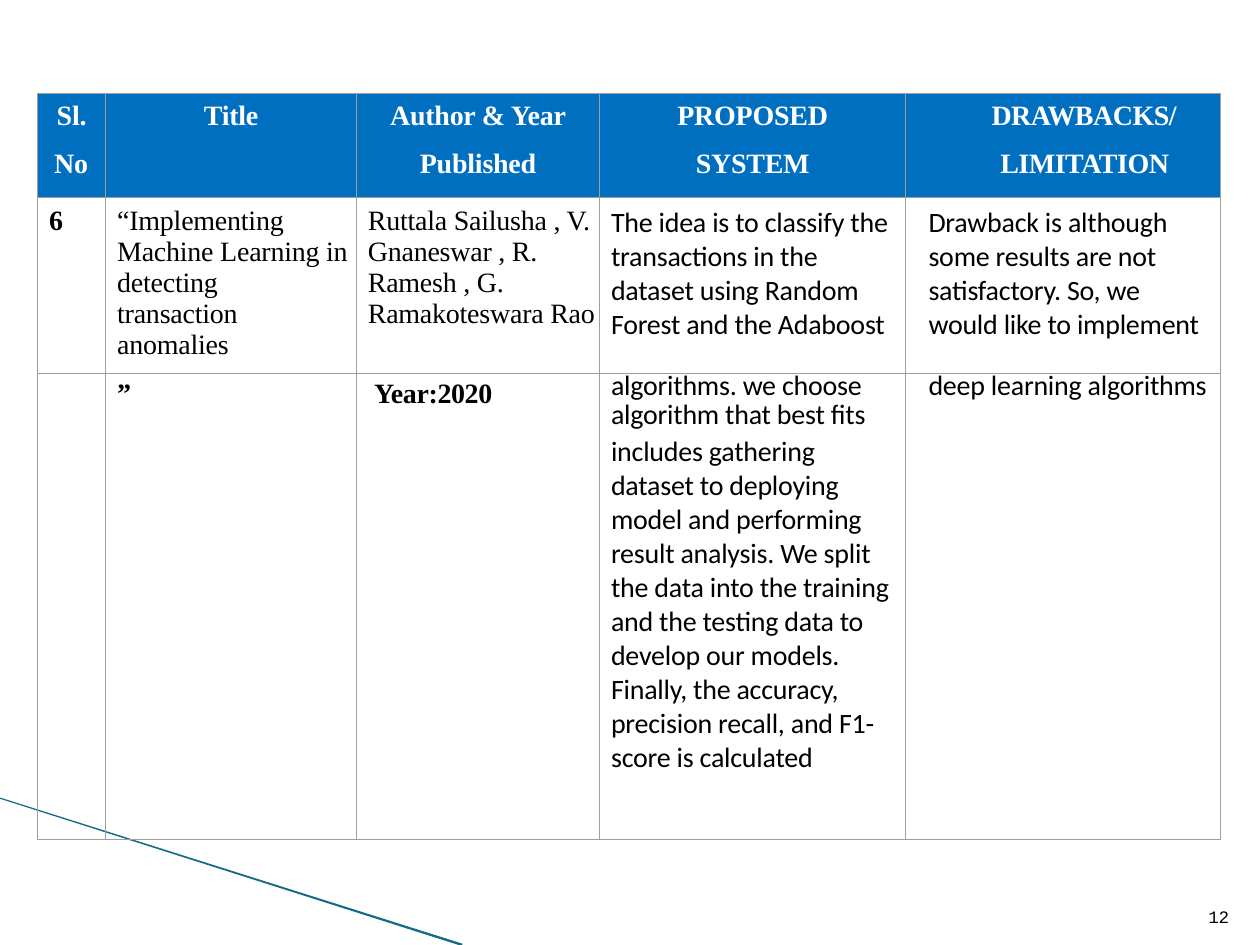
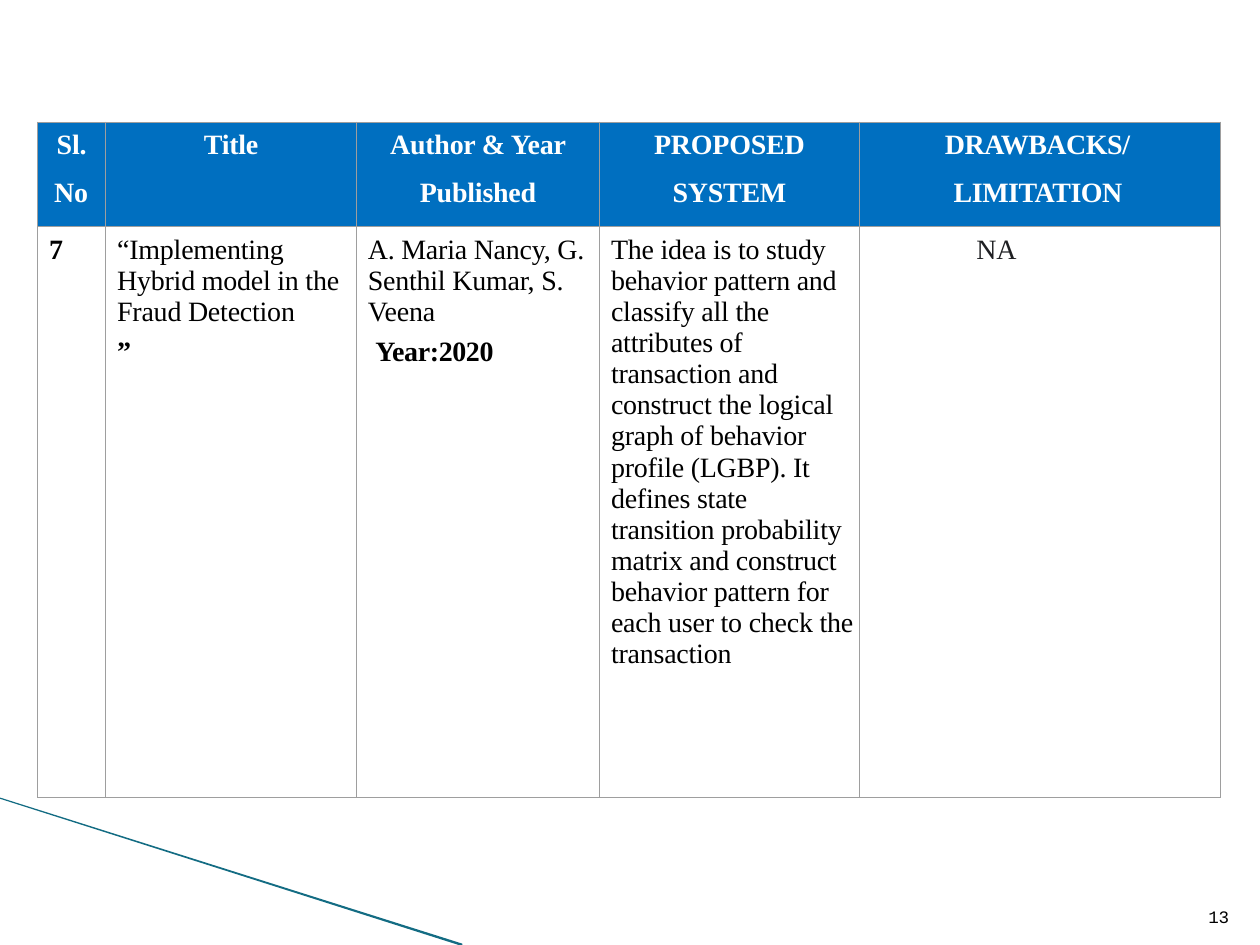
"""Build two literature survey slides, each holding one table."""
import dataclasses

import pptx
import pptx.dml.color
import pptx.enum.text
import pptx.oxml.ns
import pptx.util
from lxml import etree

Inches = pptx.util.Inches
Pt = pptx.util.Pt
CENTER = pptx.enum.text.PP_ALIGN.CENTER


@dataclasses.dataclass(frozen=True)
class Theme:
    header: str = "006FC0"
    rule: str = "9E9E9E"
    accent: str = "136C83"
    white: str = "FFFFFF"
    black: str = "000000"
    muted: str = "1F2023"
    serif: str = "Times New Roman"
    sans: str = "Calibri"
    mono: str = "Courier New"
    body_size: float = 16
    number_size: float = 10
    empty_size: float = 6
    rule_width: float = 0.75
    line_pitch: float = 16.8


THEME = Theme()


def color(value):
    return pptx.dml.color.RGBColor.from_string(value)


def write(frame, text, first=False, font=THEME.serif, size=THEME.body_size, ink=THEME.black,
          bold=False, spacing=-0.1, indent=0.0, align=None, before=0, pitch=None):
    para = frame.paragraphs[0] if first else frame.add_paragraph()
    para._p.get_or_add_pPr().set("marL", str(Inches(indent)))
    para.alignment = align
    if before:
        para.space_before = Pt(before)
    if pitch:
        para.line_spacing = Pt(pitch)
    for index, line in enumerate(text.split("\n")):
        if index:
            para.add_line_break()
        span = para.add_run()
        span.text = line
        span.font.name = font
        span.font.size = Pt(size)
        span.font.bold = bold
        span.font.color.rgb = color(ink)
        span._r.get_or_add_rPr().set("spc", str(round(spacing * 100)))


class SurveyDeck:
    def __init__(self, theme):
        self.theme = theme
        self.deck = pptx.Presentation()
        self.deck.slide_width, self.deck.slide_height = Inches(10), Inches(7.5)
        self.page = None

    def add_page(self, number):
        self.page = self.deck.slides.add_slide(self.deck.slide_layouts[6])
        self.add_diagonal()
        self.add_number(number)

    def add_diagonal(self):
        points = [(Inches(x), Inches(y)) for x, y in
                  [(3.67, 7.5), (3.64, 7.5), (0, 6.34), (0, 6.33), (3.67, 7.49)]]
        builder = self.page.shapes.build_freeform(*points[0])
        builder.add_line_segments(points[1:], close=True)
        band = builder.convert_to_shape()
        band.shadow.inherit = False
        band.fill.solid()
        band.fill.fore_color.rgb = color(self.theme.accent)
        band.line.fill.background()

    def add_number(self, number):
        box = self.page.shapes.add_textbox(Inches(9.55), Inches(7.16), Inches(0.26), Inches(0.24))
        frame = box.text_frame
        frame.word_wrap = True
        frame.margin_left = frame.margin_right = frame.margin_bottom = 0
        frame.margin_top = Inches(0.03)
        write(frame, str(number), first=True, font=self.theme.mono,
              size=self.theme.number_size, indent=0.04)

    def add_table(self, top, widths, heights, rows, insets, borders):
        table = self.page.shapes.add_table(
            len(heights), len(widths), Inches(0.3), Inches(top),
            Inches(sum(widths)), Inches(sum(heights))).table
        table.horz_banding = False
        for column, width in zip(table.columns, widths):
            column.width = Inches(width)
        for row, height in zip(table.rows, heights):
            row.height = Inches(height)
        for index, row in enumerate(rows):
            for position, content in enumerate(row):
                self.fill_cell(table.cell(index, position), content, insets[index][position],
                               borders[index], self.theme.header if index == 0 else None)

    def fill_cell(self, cell, content, inset, sides, fill):
        cell.margin_left = cell.margin_right = cell.margin_bottom = 0
        cell.margin_top = Inches(inset)
        self.add_borders(cell, sides)
        if fill:
            cell.fill.solid()
            cell.fill.fore_color.rgb = color(fill)
        else:
            cell.fill.background()
        for index, (text, style) in enumerate(content):
            write(cell.text_frame, text, first=index == 0, **style)
        if not content:
            end = etree.SubElement(cell.text_frame.paragraphs[0]._p,
                                   pptx.oxml.ns.qn("a:endParaRPr"))
            end.set("sz", str(round(self.theme.empty_size * 100)))

    def add_borders(self, cell, sides):
        properties = cell._tc.get_or_add_tcPr()
        for side in "LRTB":
            line = etree.SubElement(properties, pptx.oxml.ns.qn(f"a:ln{side}"))
            if side in sides:
                line.set("w", str(Pt(self.theme.rule_width)))
                solid = etree.SubElement(line, pptx.oxml.ns.qn("a:solidFill"))
                etree.SubElement(solid, pptx.oxml.ns.qn("a:srgbClr")).set("val", self.theme.rule)
            else:
                etree.SubElement(line, pptx.oxml.ns.qn("a:noFill"))


def heading(*lines, indents=(0, 0), **style):
    return [(line, dict(ink=THEME.white, bold=True, indent=indent,
                        before=9.6 if index else 0, **style))
            for index, (line, indent) in enumerate(zip(lines, indents))]


def body(text, indent=0.09, **style):
    return (text, dict(indent=indent, **style))


def continued(text, indent=0.09):
    return body(text, indent, font=THEME.sans, pitch=THEME.line_pitch)


HEADINGS = [
    heading("Sl.", "No", indents=(0.15, 0.13)),
    heading("Title", align=CENTER),
    heading("Author & Year", "Published", align=CENTER),
    heading("PROPOSED", "SYSTEM", align=CENTER),
    heading("DRAWBACKS/", "LIMITATION", indents=(0.68, 0.75), spacing=-0.25),
]
SHARED_WIDTHS = [0.54, 1.99, 1.93]
HEADER_HEIGHT = 0.83
TOP_INSETS = [0.06] * 5
CLOSING_QUOTE = dict(bold=True, spacing=0)
YEAR = dict(bold=True, spacing=-0.2)


def add_anomaly_page(survey):
    survey.add_page(12)
    entry = [
        [body("6", bold=True)],
        [body("“Implementing\nMachine Learning in\ndetecting\ntransaction\nanomalies")],
        [body("Ruttala Sailusha , V.\nGnaneswar , R.\nRamesh , G.\nRamakoteswara Rao")],
        [body("The idea is to classify the\ntransactions in the\ndataset using Random\n"
              "Forest and the Adaboost", font=THEME.sans)],
        [body("Drawback is although\nsome results are not\nsatisfactory. So, we\n"
              "would like to implement", 0.18, font=THEME.sans)],
    ]
    second = [
        [],
        [body("”", **CLOSING_QUOTE)],
        [body("Year:2020", 0.14, **YEAR)],
        [continued("algorithms. we choose"), continued("algorithm that best fits")],
        [continued("deep learning algorithms", 0.18)],
    ]
    lines = ["includes gathering", "dataset to deploying", "model and performing",
             "result analysis. We split", "the data into the training",
             "and the testing data to", "develop our models.", "Finally, the accuracy,",
             "precision recall, and F1-", "score is calculated"]
    rest = [[[], [], [], [continued(line)], []] for line in lines]
    survey.add_table(
        top=0.74,
        widths=SHARED_WIDTHS + [2.43, 2.5],
        heights=[HEADER_HEIGHT, 1.16, 0.53] + [0.27] * (len(lines) - 1) + [0.74],
        rows=[HEADINGS, entry, second] + rest,
        insets=[TOP_INSETS] * 2 + [[0, 0.04, 0.04, 0, 0]] + [[0] * 5] * len(lines),
        borders=["LRTB", "LRTB", "LRT"] + ["LR"] * (len(lines) - 1) + ["LRB"])


def add_hybrid_page(survey):
    survey.add_page(13)
    entry = [
        [body("7", bold=True)],
        [body("“Implementing\nHybrid model in the\nFraud Detection"),
         body("”", before=5.3, **CLOSING_QUOTE)],
        [body("A. Maria Nancy, G.\nSenthil Kumar, S.\nVeena"),
         body("Year:2020", 0.15, before=5.3, **YEAR)],
        [body("The idea is to study\nbehavior pattern and\nclassify all the\nattributes of\n"
              "transaction and\nconstruct the logical\ngraph of behavior\n"
              "profile (LGBP). It\ndefines state\ntransition probability\n"
              "matrix and construct\nbehavior pattern for\neach user to check the\n"
              "transaction")],
        [body("NA", 0.93, ink=THEME.muted)],
    ]
    survey.add_table(
        top=0.97,
        widths=SHARED_WIDTHS + [2.06, 2.87],
        heights=[HEADER_HEIGHT, 4.53],
        rows=[HEADINGS, entry],
        insets=[TOP_INSETS] * 2,
        borders=["LRTB"] * 2)


def main():
    survey = SurveyDeck(THEME)
    add_anomaly_page(survey)
    add_hybrid_page(survey)
    survey.deck.save("out.pptx")


if __name__ == "__main__":
    main()
